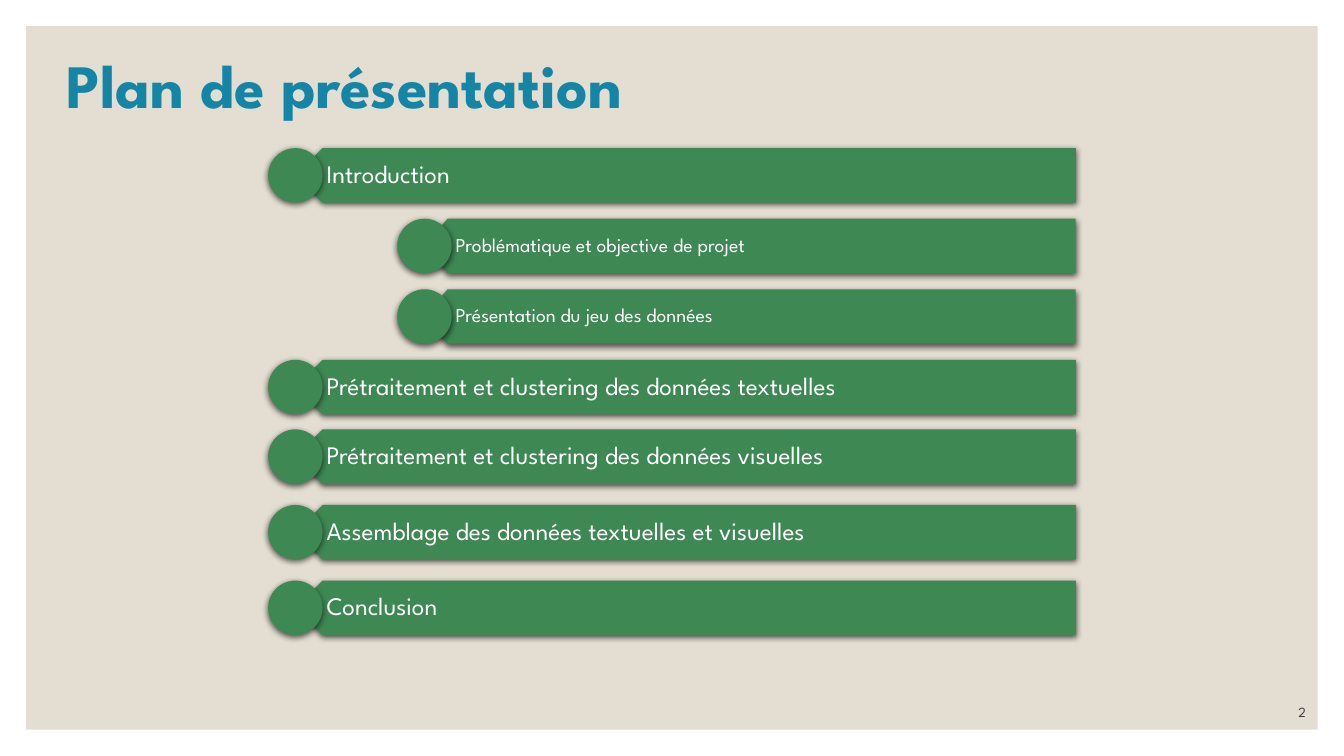
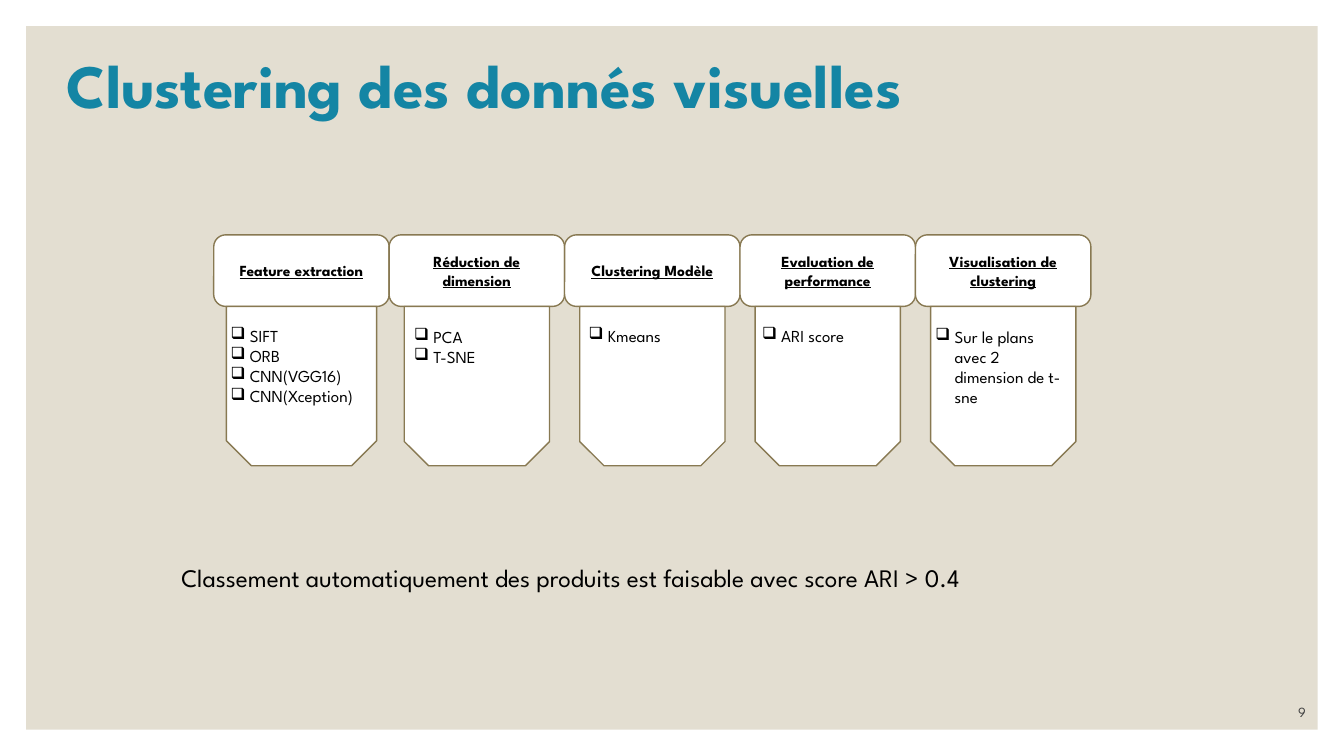
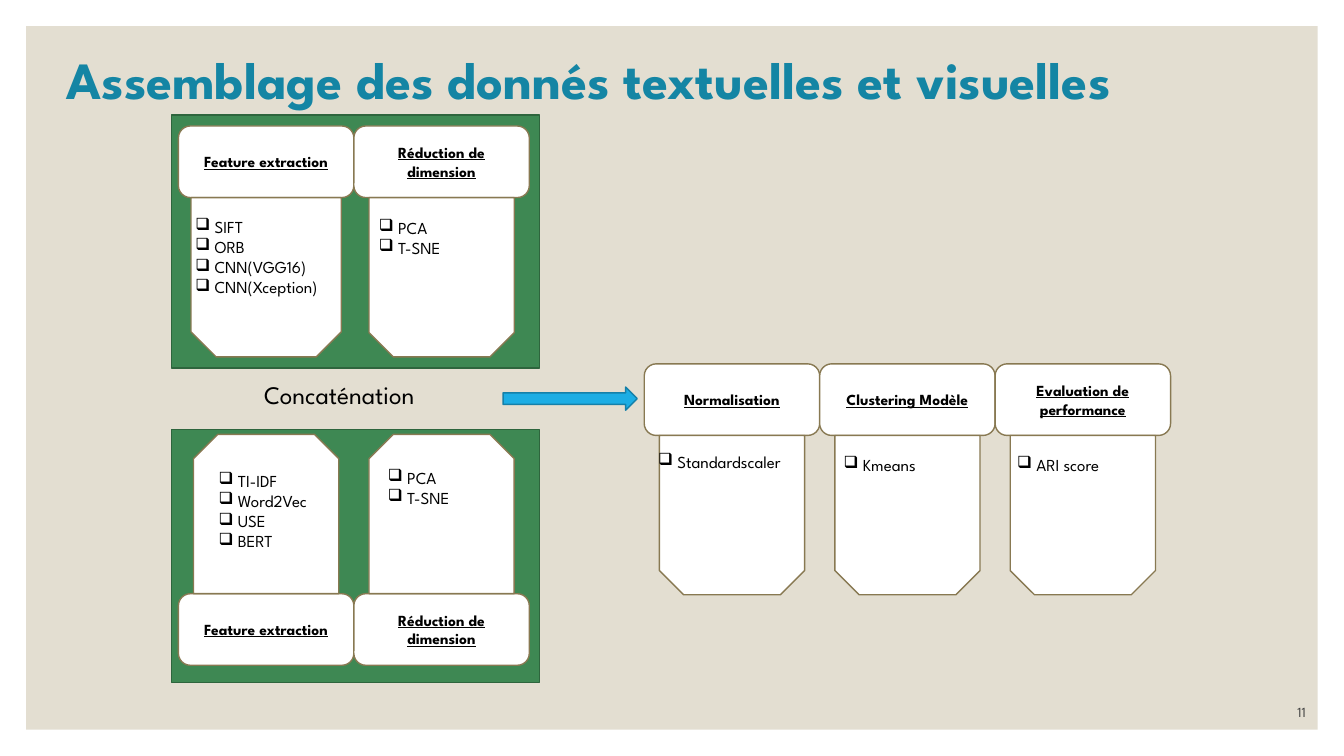
"""Builds three slides: an agenda, a clustering pipeline and a combined pipeline."""
from lxml import etree
from pptx import Presentation
from pptx.dml.color import RGBColor
from pptx.enum.shapes import MSO_SHAPE as Shape
from pptx.enum.text import MSO_ANCHOR as Anchor, PP_ALIGN as Align
from pptx.oxml.ns import qn
from pptx.util import Inches, Pt

FONT = "League Spartan"
WHITE, BLACK, GRAY = "FFFFFF", "000000", "404040"
SAND, TEAL, GREEN, DARK_GREEN = "E3DED1", "1485A4", "3E8853", "2E653D"
BRONZE, SKY, DARK_SKY = "887952", "1CADE4", "1580A9"

SLIDE_WIDTH, SLIDE_HEIGHT, MARGIN = 13.33, 7.5, 0.26
BAR_HEIGHT, BAR_RIGHT = 0.54, 10.67
HEADING_WIDTH, HEADING_HEIGHT, BODY_HEIGHT = 1.74, 0.71, 1.58
PANEL_SIZE = (3.65, 2.51)

AGENDA = [
    ("Introduction", 0, 1.47),
    ("Problématique et objective de projet", 1, 2.17),
    ("Présentation du jeu des données", 1, 2.87),
    ("Prétraitement et clustering des données textuelles", 0, 3.57),
    ("Prétraitement et clustering des données visuelles", 0, 4.26),
    ("Assemblage des données textuelles et visuelles", 0, 5.01),
    ("Conclusion", 0, 5.76),
]
AGENDA_LEVELS = [
    {"left": 2.93, "notch": 0.27, "size": 18},
    {"left": 4.21, "notch": 0.23, "size": 14},
]

# heading, items, body width, list box (left and top from the heading, width)
IMAGE_FEATURES = ("Feature extraction", ["SIFT", "ORB", "CNN(VGG16)", "CNN(Xception)"],
                  1.49, (0.07, 0.85, 1.72))
TEXT_FEATURES = ("Feature extraction", ["TI-IDF", "Word2Vec", "USE", "BERT"],
                 1.44, (0.3, -1.27, 1.44))
REDUCTION = ("Réduction de dimension", ["PCA", "T-SNE"], 1.44, (0.15, 0.86, 1.44))
TEXT_REDUCTION = (*REDUCTION[:3], (0.24, -1.3, 1.44))
SCALING = ("Normalisation", ["Standardscaler"], 1.44, (0.04, 0.82, 1.8))
MODEL = ("Clustering Modèle", ["Kmeans"], 1.44, (0.14, 0.85, 1.44))
SCORE = ("Evaluation de performance", ["ARI score"], 1.44, (0.12, 0.85, 1.44))
PLOT = ("Visualisation de clustering", ["Sur le plans avec 2 dimension de t-sne"],
        1.44, (0.1, 0.86, 1.44))


def color(value):
    return RGBColor.from_string(value)


def write(shape, lines, size=18, ink=BLACK, bold=False, underline=False,
          align=Align.LEFT, anchor=Anchor.TOP, bullet=None, spacing=None):
    frame = shape.text_frame
    frame.word_wrap = True
    frame.vertical_anchor = anchor
    for index, line in enumerate(lines):
        paragraph = frame.paragraphs[0] if index == 0 else frame.add_paragraph()
        paragraph.alignment = align
        paragraph.line_spacing = spacing
        run = paragraph.add_run()
        run.text = line
        font = run.font
        font.name, font.size, font.bold, font.underline = FONT, Pt(size), bold, underline
        font.color.rgb = color(ink)
        if bullet:
            properties = paragraph._p.get_or_add_pPr()
            properties.set("marL", str(Inches(0.19)))
            properties.set("indent", str(Inches(-0.19)))
            etree.SubElement(properties, qn("a:buChar"), char=bullet)
    return frame


def add_text(slide, box, *lines, **style):
    return write(slide.shapes.add_textbox(*map(Inches, box)), lines, **style)


def paint(shape, fill, line=None):
    shape.shadow.inherit = False
    shape.fill.solid()
    shape.fill.fore_color.rgb = color(fill)
    if line:
        shape.line.color.rgb = color(line)
        shape.line.width = Pt(1)
    else:
        shape.line.fill.background()
    return shape


def add_shape(slide, kind, box, fill, line=None):
    return paint(slide.shapes.add_shape(kind, *map(Inches, box)), fill, line)


def cast_shadow(shape):
    effects = shape._element.spPr.find(qn("a:effectLst"))
    shadow = etree.SubElement(effects, qn("a:outerShdw"), blurRad=str(Pt(4.5)),
                              dist=str(Pt(1.5)), dir="5400000", rotWithShape="0")
    shade = etree.SubElement(shadow, qn("a:srgbClr"), val=BLACK)
    etree.SubElement(shade, qn("a:alpha"), val="63000")


def add_slide(presentation, title, number, title_size=44):
    slide = presentation.slides.add_slide(presentation.slide_layouts[6])
    add_shape(slide, Shape.RECTANGLE, (MARGIN, MARGIN, SLIDE_WIDTH - 2 * MARGIN,
                                       SLIDE_HEIGHT - 2 * MARGIN), SAND)
    add_text(slide, (0.56, 0.42, 12.21, 1.09), title, size=title_size, ink=TEAL, bold=True)
    add_text(slide, (11.45, 6.9, 1.6, 0.3), number, size=10, ink=GRAY,
             align=Align.RIGHT, anchor=Anchor.BOTTOM)
    return slide


def add_agenda_row(slide, label, level, top):
    left, notch, size = AGENDA_LEVELS[level].values()
    bottom, middle = top + BAR_HEIGHT, top + BAR_HEIGHT / 2
    outline = [(BAR_RIGHT, bottom), (left + notch, bottom), (left, middle),
               (left + notch, top), (BAR_RIGHT, top)]
    points = [(Inches(x), Inches(y)) for x, y in outline]
    builder = slide.shapes.build_freeform(*points[0])
    builder.add_line_segments(points[1:])
    bar = paint(builder.convert_to_shape(), GREEN)
    frame = write(bar, [label], size=size, ink=WHITE, anchor=Anchor.MIDDLE, spacing=0.9)
    frame.margin_left, frame.margin_right = Inches(0.31), Inches(0.12)
    frame.margin_top = frame.margin_bottom = Inches(0.07)
    dot = add_shape(slide, Shape.OVAL, (left - BAR_HEIGHT / 2, top, BAR_HEIGHT, BAR_HEIGHT), GREEN)
    cast_shadow(bar)
    cast_shadow(dot)


def add_cards(slide, left, top, cards, body_above=False):
    for column, (heading, items, body_width, (text_left, text_top, text_width)) in enumerate(cards):
        x = left + column * HEADING_WIDTH
        head = add_shape(slide, Shape.ROUNDED_RECTANGLE,
                         (x, top, HEADING_WIDTH, HEADING_HEIGHT), WHITE, BRONZE)
        write(head, [heading], size=11, bold=True, underline=True,
              align=Align.CENTER, anchor=Anchor.MIDDLE)
        body_top = top - BODY_HEIGHT if body_above else top + HEADING_HEIGHT
        body = add_shape(slide, Shape.SNIP_2_SAME_RECTANGLE,
                         (x + (HEADING_WIDTH - body_width) / 2, body_top, body_width, BODY_HEIGHT),
                         WHITE, BRONZE)
        body.rotation = 0 if body_above else 180
        add_text(slide, (x + text_left, top + text_top, text_width, 0.1 + 0.2 * len(items)),
                 *items, size=12, bullet="❑")


def main():
    presentation = Presentation()
    presentation.slide_width, presentation.slide_height = Inches(SLIDE_WIDTH), Inches(SLIDE_HEIGHT)

    agenda = add_slide(presentation, "Plan de présentation", "2")
    for row in AGENDA:
        add_agenda_row(agenda, *row)

    visual = add_slide(presentation, "Clustering des donnés visuelles", "9")
    add_cards(visual, 2.12, 2.33, [IMAGE_FEATURES, REDUCTION, MODEL, SCORE, PLOT])
    add_text(visual, (1.7, 5.53, 9.51, 0.4),
             "Classement automatiquement des produits est faisable avec score ARI > 0.4")

    combined = add_slide(presentation, "Assemblage des donnés textuelles et visuelles", "11", 37.4)
    for panel_top in (1.14, 4.26):
        add_shape(combined, Shape.RECTANGLE, (1.7, panel_top, *PANEL_SIZE), GREEN, DARK_GREEN)
    add_cards(combined, 1.77, 1.25, [IMAGE_FEATURES, REDUCTION])
    add_cards(combined, 1.77, 5.89, [TEXT_FEATURES, TEXT_REDUCTION], body_above=True)
    add_cards(combined, 6.39, 3.61, [SCALING, MODEL, SCORE])
    add_text(combined, (2.52, 3.71, 2.09, 0.4), "Concaténation")
    add_shape(combined, Shape.RIGHT_ARROW, (4.99, 3.84, 1.33, 0.23), SKY, DARK_SKY)

    presentation.save("out.pptx")


if __name__ == "__main__":
    main()
